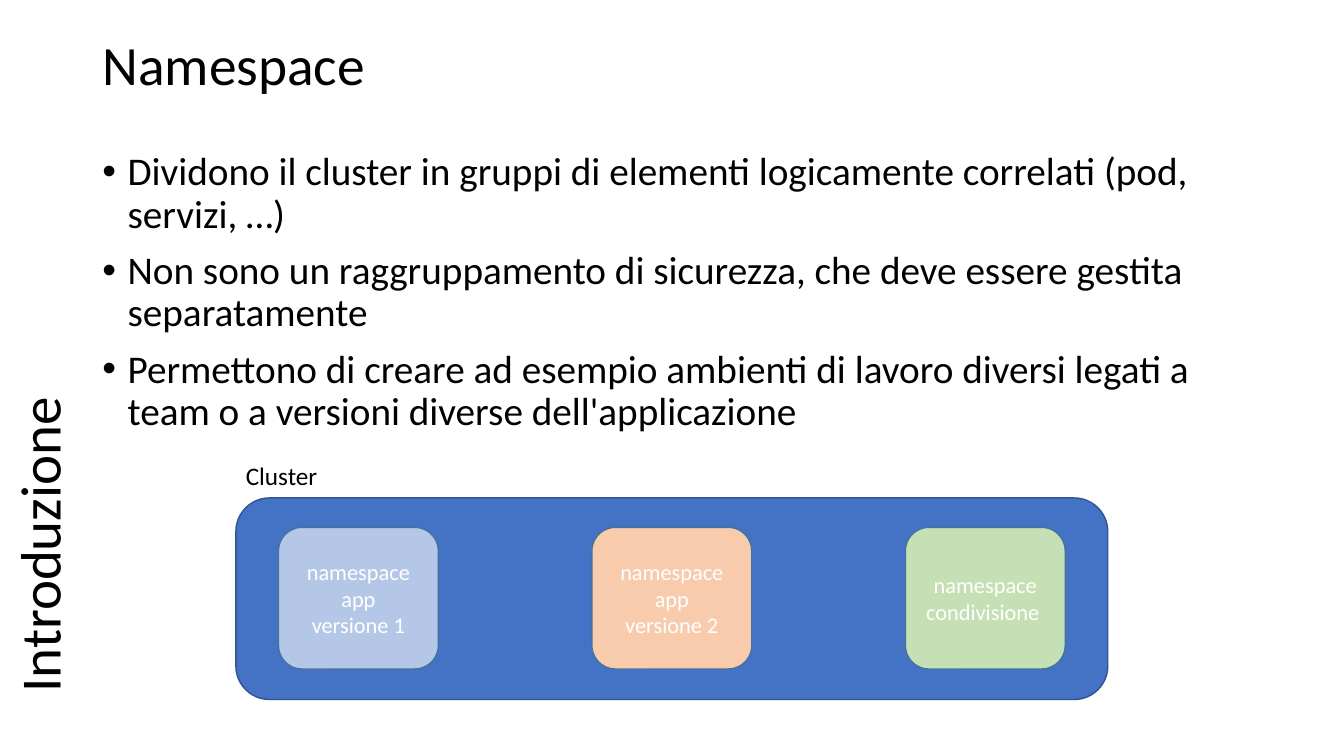
from pptx import Presentation
from pptx.dml.color import RGBColor
from pptx.enum.shapes import MSO_SHAPE
from pptx.enum.text import MSO_ANCHOR, MSO_AUTO_SIZE, PP_ALIGN
from pptx.oxml import parse_xml
from pptx.oxml.ns import nsdecls
from pptx.util import Pt

FONT = "Calibri"
BULLETS = [
    "Dividono il cluster in gruppi di elementi logicamente correlati (pod, servizi, …)",
    "Non sono un raggruppamento di sicurezza, che deve essere gestita separatamente",
    "Permettono di creare ad esempio ambienti di lavoro diversi legati a team o a versioni diverse dell'applicazione",
]
NAMESPACES = [
    (["namespace app", "versione 1"], "B4C7E7"),
    (["namespace app", "versione 2"], "F8CBAD"),
    (["namespace condivisione "], "C5E0B4"),
]


def color(value):
    """Turn a hex string into a colour."""
    return RGBColor.from_string(value)


def place(shape, left, top, width, height):
    """Set a shape's position and size in points."""
    shape.left, shape.top = Pt(left), Pt(top)
    shape.width, shape.height = Pt(width), Pt(height)


def write(shape, lines, size, ink="000000", align=PP_ALIGN.LEFT,
          anchor=MSO_ANCHOR.TOP, spacing=1.0, before=0, wrap=True):
    """Fill a shape with one formatted paragraph per line."""
    frame = shape.text_frame
    frame.auto_size = MSO_AUTO_SIZE.NONE
    frame.word_wrap = wrap
    frame.vertical_anchor = anchor
    frame.text = "\n".join(lines)
    for paragraph in frame.paragraphs:
        paragraph.alignment = align
        paragraph.line_spacing = spacing
        paragraph.space_before = Pt(before)
        font = paragraph.runs[0].font
        font.name, font.size = FONT, Pt(size)
        font.color.rgb = color(ink)


def add_bullets(shape, indent):
    """Give each paragraph a round bullet with a hanging indent."""
    for paragraph in shape.text_frame.paragraphs:
        properties = paragraph._p.get_or_add_pPr()
        properties.set("marL", str(Pt(indent)))
        properties.set("indent", str(-Pt(indent)))
        properties.append(parse_xml(f'<a:buFont {nsdecls("a")} typeface="Arial"/>'))
        properties.append(parse_xml(f'<a:buChar {nsdecls("a")} char="•"/>'))


def add_text_box(slide, bounds, text, size, **text_format):
    """Add a one-line text box."""
    box = slide.shapes.add_textbox(*map(Pt, bounds))
    write(box, [text], size, **text_format)
    return box


def add_rounded_box(slide, bounds, fill, line):
    """Add a filled and outlined rounded rectangle."""
    box = slide.shapes.add_shape(MSO_SHAPE.ROUNDED_RECTANGLE, *map(Pt, bounds))
    box.shadow.inherit = False
    box.fill.solid()
    box.fill.fore_color.rgb = color(fill)
    box.line.color.rgb = color(line)
    box.line.width = Pt(1)
    return box


def main():
    """Build the slide and save it."""
    presentation = Presentation()
    presentation.slide_width, presentation.slide_height = Pt(960), Pt(540)
    slide = presentation.slides.add_slide(presentation.slide_layouts[1])
    title, body = slide.placeholders

    place(title, 66, 28.8, 828, 38.2)
    write(title, ["Namespace"], 39.6, anchor=MSO_ANCHOR.MIDDLE, spacing=0.9)

    section = add_text_box(slide, (7.2, 38.2, 51.8, 463.7), "Introduzione", 40.7,
                           anchor=MSO_ANCHOR.MIDDLE, spacing=0.7)
    section.text_frame._txBody.bodyPr.set("vert", "vert270")

    place(body, 66, 105, 828, 227.5)
    write(body, BULLETS, 28, spacing=0.9, before=10)
    add_bullets(body, 18)

    add_rounded_box(slide, (168.5, 355.7, 622.8, 144), "4472C4", "325491")
    add_text_box(slide, (168.5, 325.4, 71.3, 30.2), "Cluster", 18, wrap=False)
    for index, (lines, fill) in enumerate(NAMESPACES):
        bounds = (198.9 + 223.9 * index, 376.7, 114.2, 101.2)
        box = add_rounded_box(slide, bounds, fill, "43739E")
        write(box, lines, 16, ink="FFFFFF", align=PP_ALIGN.CENTER,
              anchor=MSO_ANCHOR.MIDDLE)

    presentation.save("out.pptx")


if __name__ == "__main__":
    main()
